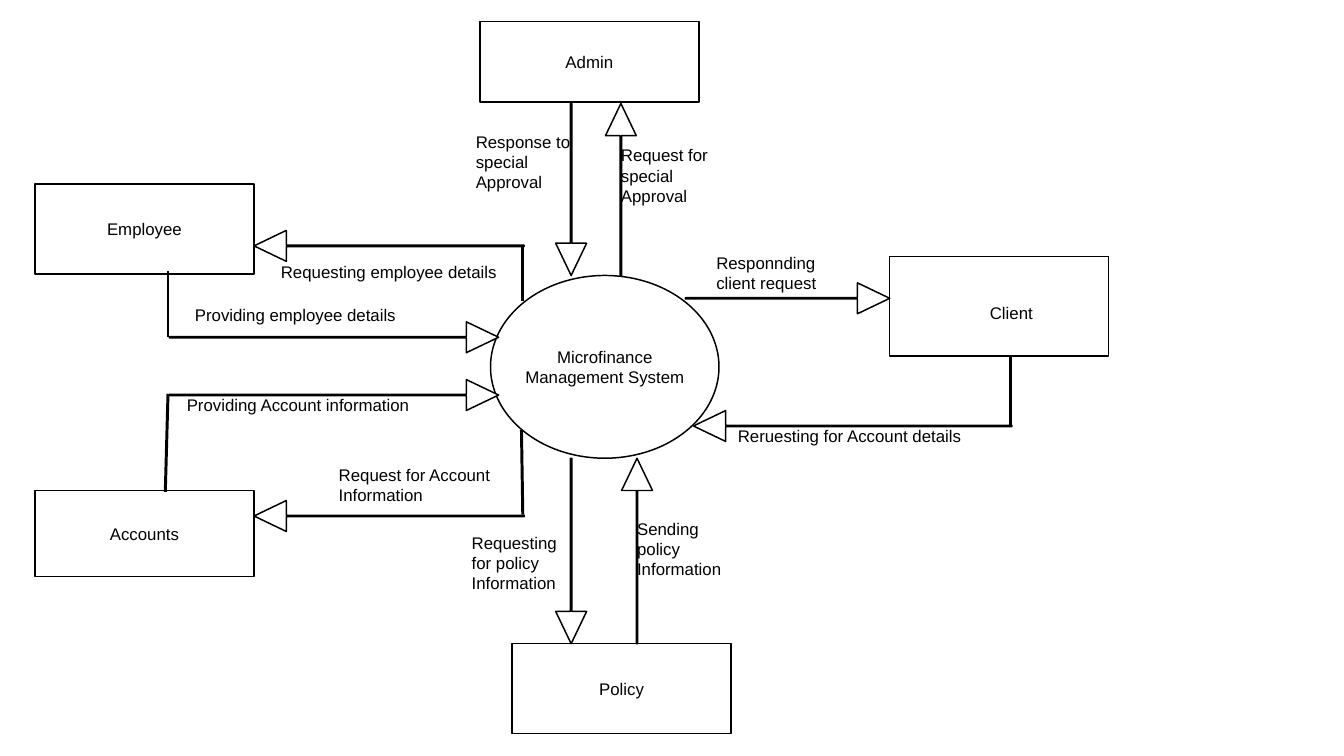
from dataclasses import dataclass
from math import hypot

from lxml import etree
from pptx import Presentation
from pptx.dml.color import RGBColor
from pptx.enum import shapes, text
from pptx.oxml import ns
from pptx.util import Inches, Pt


@dataclass(frozen=True)
class Theme:
    ink: RGBColor = RGBColor(0, 0, 0)
    paper: RGBColor = RGBColor(255, 255, 255)
    font: str = "Arial"
    size: float = 9
    outline: float = 0.79
    elbow: float = 1.59


THEME = Theme()
ENTITY_WIDTH = 1.63
HEAD_LENGTH, HEAD_HALF, SHAFT_HALF = 0.24, 0.115, 0.005

# name, left, top, height, text shift right and down
ENTITIES = [
    ("Policy", 3.81, 4.79, 0.67, 0, 0),
    ("Client", 6.62, 1.91, 0.74, 0.09, 0.05),
    ("Admin", 3.57, 0.16, 0.6, 0, 0),
    ("Accounts", 0.26, 3.65, 0.64, 0, 0),
    ("Employee", 0.26, 1.37, 0.67, 0, 0),
]

# tail x, tail y, tip x, tip y
FLOWS = [
    (4.74, 4.79, 4.74, 3.41),
    (1.26, 2.94, 3.71, 2.94),
    (4.62, 2.05, 4.62, 0.77),
    (4.25, 0.77, 4.25, 2.05),
    (1.26, 2.51, 3.71, 2.51),
    (7.53, 3.17, 5.16, 3.17),
    (4.25, 3.41, 4.25, 4.79),
    (3.9, 3.84, 1.89, 3.84),
    (5.1, 2.22, 6.62, 2.22),
    (3.9, 1.83, 1.89, 1.83),
]

# lines that join a flow to its entity or to the system
ELBOWS = [
    (3.89, 1.83, 3.89, 2.24),
    (1.25, 2.51, 1.25, 2.02),
    (1.25, 2.93, 1.23, 3.66),
    (7.52, 3.18, 7.52, 2.64),
    (3.88, 3.2, 3.89, 3.83),
]

# wording, left, top, width, number of lines
LABELS = [
    ("Response to special Approval", 3.54, 0.98, 0.71, 3),
    ("Request for special Approval", 4.62, 1.08, 0.71, 3),
    ("Requesting for policy Information", 3.51, 3.96, 0.78, 3),
    ("Sending policy Information", 4.74, 3.86, 0.79, 3),
    ("Reruesting for Account details", 5.49, 3.17, 2.04, 1),
    ("Responnding client request", 5.33, 1.88, 0.96, 2),
    ("Request for Account Information", 2.52, 3.46, 1.28, 2),
    ("Providing Account information", 1.39, 2.94, 1.87, 1),
    ("Providing employee details", 1.45, 2.27, 1.82, 1),
    ("Requesting employee details", 2.09, 1.95, 1.87, 1),
]


def write(shape, wording, align, anchor, shift=(0, 0)):
    """Set the text of a shape, moved right and down by shift inches."""
    frame = shape.text_frame
    frame.word_wrap = True
    frame.vertical_anchor = anchor
    # Centred text moves by half of the inset on one side.
    frame.margin_left, frame.margin_top = (Inches(2 * step) for step in shift)
    frame.margin_right = frame.margin_bottom = 0
    para = frame.paragraphs[0]
    para.alignment = align
    span = para.add_run()
    span.text = wording
    span.font.name = THEME.font
    span.font.size = Pt(THEME.size)
    span.font.color.rgb = THEME.ink


def paint(shape):
    shape.shadow.inherit = False
    shape.fill.solid()
    shape.fill.fore_color.rgb = THEME.paper
    shape.line.color.rgb = THEME.ink
    shape.line.width = Pt(THEME.outline)


def add_node(page, kind, wording, left, top, width, height, shift=(0, 0)):
    node = page.shapes.add_shape(
        kind, Inches(left), Inches(top), Inches(width), Inches(height))
    paint(node)
    write(node, wording, text.PP_ALIGN.CENTER, text.MSO_ANCHOR.MIDDLE, shift)


def add_flow(page, tail_x, tail_y, tip_x, tip_y):
    """Draw a thin block arrow with a large hollow head."""
    length = hypot(tip_x - tail_x, tip_y - tail_y)
    along_x, along_y = (tip_x - tail_x) / length, (tip_y - tail_y) / length

    def corner(back, side):
        return (Inches(tip_x - back * along_x - side * along_y),
                Inches(tip_y - back * along_y + side * along_x))

    half = [(HEAD_LENGTH, HEAD_HALF), (HEAD_LENGTH, SHAFT_HALF), (length, SHAFT_HALF)]
    mirrored = [(back, -side) for back, side in reversed(half)]
    builder = page.shapes.build_freeform(*corner(0, 0))
    builder.add_line_segments([corner(*point) for point in half + mirrored])
    paint(builder.convert_to_shape())


def add_elbow(page, *ends):
    elbow = page.shapes.add_connector(
        shapes.MSO_CONNECTOR.STRAIGHT, *(Inches(value) for value in ends))
    elbow.line.color.rgb = THEME.ink
    elbow.line.width = Pt(THEME.elbow)
    etree.SubElement(elbow._element.spPr, ns.qn("a:effectLst"))


def add_label(page, wording, left, top, width, lines):
    box = page.shapes.add_textbox(
        Inches(left), Inches(top), Inches(width), Inches(0.15 * lines))
    write(box, wording, text.PP_ALIGN.LEFT, text.MSO_ANCHOR.TOP)


def main():
    deck = Presentation()
    deck.slide_width = Inches(10)
    deck.slide_height = deck.slide_width * 9 // 16
    page = deck.slides.add_slide(deck.slide_layouts.get_by_name("Blank"))
    add_node(page, shapes.MSO_SHAPE.OVAL, "Microfinance Management System",
             3.65, 2.05, 1.7, 1.36)
    for name, left, top, height, *shift in ENTITIES:
        add_node(page, shapes.MSO_SHAPE.RECTANGLE, name,
                 left, top, ENTITY_WIDTH, height, shift)
    for flow in FLOWS:
        add_flow(page, *flow)
    for elbow in ELBOWS:
        add_elbow(page, *elbow)
    for label in LABELS:
        add_label(page, *label)
    deck.save("out.pptx")


if __name__ == "__main__":
    main()
